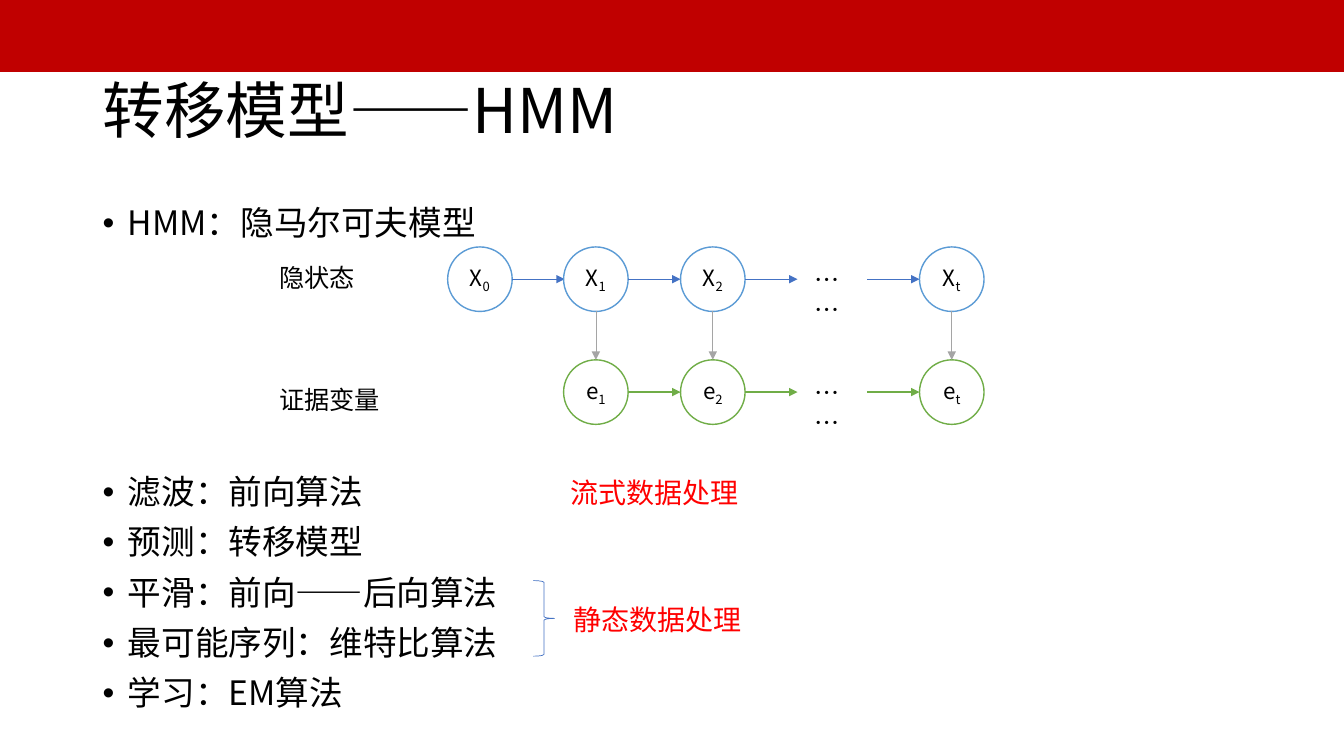
"""Build the slide on hidden Markov models and their algorithms."""
import pptx
import pptx.util
import pptx.dml.color
import pptx.enum.shapes
import pptx.enum.text
import pptx.oxml
import pptx.oxml.ns

Inches = pptx.util.Inches
Shapes = pptx.enum.shapes.MSO_SHAPE
Anchor = pptx.enum.text.MSO_ANCHOR
Align = pptx.enum.text.PP_ALIGN
FONT = "Noto Sans CJK SC"
COLORS = {"banner": "C00000", "text": "000000", "alert": "FF0000", "paper": "FFFFFF",
          "state": "5B9BD5", "step": "4472C4", "evidence": "70AD47", "emission": "A5A5A5"}


def color(name):
    return pptx.dml.color.RGBColor.from_string(COLORS[name])


def add_element(parent, tag, **attributes):
    element = pptx.oxml.parse_xml(f"<a:{tag} {pptx.oxml.ns.nsdecls('a')}/>")
    for key, value in attributes.items():
        element.set(key, value)
    parent.append(element)


def write(para, text, size=18, ink="text", subscript=False):
    span = para.add_run()
    span.text = text
    span.font.size = pptx.util.Pt(size)
    span.font.name = FONT
    span.font.color.rgb = color(ink)
    properties = span.font._element
    add_element(properties, "ea", typeface=FONT)
    if subscript:
        properties.set("baseline", "-25000")


class SlideBuilder:
    def __init__(self, page):
        self.page = page

    def shape(self, kind, left, top, width, height, fill=None, line=None, weight=1):
        box = self.page.shapes.add_shape(
            kind, Inches(left), Inches(top), Inches(width), Inches(height))
        box.shadow.inherit = False
        if fill:
            box.fill.solid()
            box.fill.fore_color.rgb = color(fill)
        else:
            box.fill.background()
        box.line.color.rgb = color(line)
        box.line.width = pptx.util.Pt(weight)
        return box

    def text(self, text, left, top, width, height, wrap=False, anchor=Anchor.TOP,
             spacing=1.0, **style):
        box = self.page.shapes.add_textbox(
            Inches(left), Inches(top), Inches(width), Inches(height))
        box.text_frame.word_wrap = wrap
        box.text_frame.vertical_anchor = anchor
        para = box.text_frame.paragraphs[0]
        para.line_spacing = spacing
        write(para, text, **style)

    def bullets(self, items, left, top, width, height):
        box = self.page.shapes.add_textbox(
            Inches(left), Inches(top), Inches(width), Inches(height))
        frame = box.text_frame
        frame.word_wrap = True
        for index, item in enumerate(items):
            para = frame.add_paragraph() if index else frame.paragraphs[0]
            properties = para._p.get_or_add_pPr()
            properties.set("marL", str(Inches(0.25)))
            properties.set("indent", str(-Inches(0.25)))
            add_element(properties, "buFont", typeface="Arial")
            add_element(properties, "buChar", char="•")
            para.line_spacing = 0.9
            if index:
                para.space_before = pptx.util.Pt(10)
            write(para, item, size=24)

    def node(self, letter, index, left, top, size, line):
        circle = self.shape(Shapes.OVAL, left, top, size, size, "paper", line)
        frame = circle.text_frame
        frame.vertical_anchor = Anchor.MIDDLE
        para = frame.paragraphs[0]
        para.alignment = Align.CENTER
        write(para, letter, size=16)
        write(para, index, size=16, subscript=True)

    def arrow(self, left, top, across, down, line, weight):
        arrow = self.page.shapes.add_connector(
            pptx.enum.shapes.MSO_CONNECTOR.STRAIGHT, Inches(left), Inches(top),
            Inches(left + across), Inches(top + down))
        arrow.line.color.rgb = color(line)
        arrow.line.width = pptx.util.Pt(weight)
        add_element(arrow.line._get_or_add_ln(), "tailEnd", type="triangle")
        add_element(arrow._element.spPr, "effectLst")


def draw_model(slide):
    size, gap = 0.64, 0.52
    columns = {"0": 4.44, "1": 5.59, "2": 6.75, "t": 9.12}
    chains = [("X", 2.45, "012t", "state", "step", 0.5),
              ("e", 3.57, "12t", "evidence", "evidence", 1)]
    for letter, top, indices, outline, line, weight in chains:
        middle = top + size / 2
        for index in indices:
            left = columns[index]
            slide.node(letter, index, left, top, size, outline)
            start = left - gap if index == "t" else left + size
            slide.arrow(start, middle, gap, 0, line, weight)
        slide.text("……", 7.98, top + 0.12, 0.56, 0.4, wrap=True)
    upper, lower = chains[0][1] + size, chains[1][1]
    for index in chains[1][2]:
        slide.arrow(columns[index] + size / 2, upper, 0, lower - upper, "emission", 0.5)


def main():
    deck = pptx.Presentation()
    deck.slide_width, deck.slide_height = Inches(13.33), Inches(7.5)
    slide = SlideBuilder(deck.slides.add_slide(deck.slide_layouts[6]))
    slide.shape(Shapes.RECTANGLE, 0, 0, 13.33, 0.71, "banner", "banner")
    slide.text("转移模型——HMM", 0.92, 0.4, 11.5, 1.45, wrap=True,
               anchor=Anchor.MIDDLE, spacing=0.9, size=44)
    slide.bullets(["HMM：隐马尔可夫模型"], 0.92, 2, 11.5, 0.5)
    slide.text("隐状态", 2.67, 2.55, 0.96, 0.4)
    slide.text("证据变量", 2.67, 3.76, 1.21, 0.4)
    draw_model(slide)
    slide.bullets(["滤波：前向算法", "预测：转移模型", "平滑：前向——后向算法",
                   "最可能序列：维特比算法", "学习：EM算法"], 0.92, 4.67, 11.5, 2.47)
    slide.text("流式数据处理", 5.56, 4.67, 1.95, 0.44, size=20, ink="alert")
    slide.text("静态数据处理", 5.59, 5.93, 1.95, 0.44, size=20, ink="alert")
    slide.shape(Shapes.RIGHT_BRACE, 5.29, 5.76, 0.21, 0.75, line="step", weight=0.5)
    deck.save("out.pptx")


if __name__ == "__main__":
    main()
